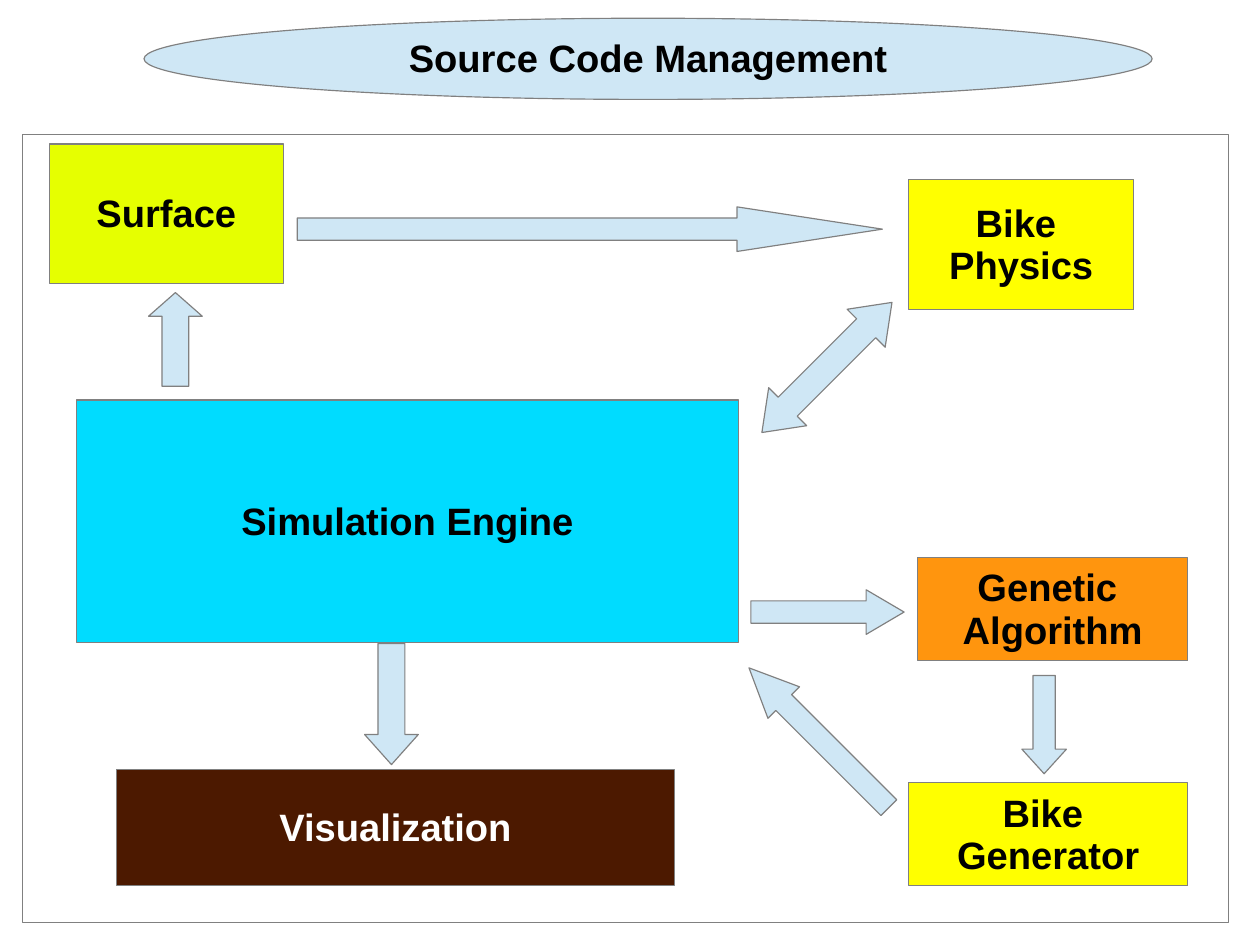
from pptx import Presentation
from pptx.dml.color import RGBColor
from pptx.enum.shapes import MSO_SHAPE as Shape
from pptx.enum.text import MSO_ANCHOR, PP_ALIGN
from pptx.util import Cm, Inches, Pt

PALE_BLUE = RGBColor(0xCF, 0xE7, 0xF5)
YELLOW = RGBColor(0xFF, 0xFF, 0x00)
LIME = RGBColor(0xE6, 0xFF, 0x00)
CYAN = RGBColor(0x00, 0xDC, 0xFF)
ORANGE = RGBColor(0xFF, 0x95, 0x0E)
BROWN = RGBColor(0x4C, 0x19, 0x00)
GREY = RGBColor(0x80, 0x80, 0x80)
BLACK = RGBColor(0x00, 0x00, 0x00)
WHITE = RGBColor(0xFF, 0xFF, 0xFF)

# Each box is (left, top, width, height) in inches
HEADING = ("Source Code Management", (1.26, 0.16, 8.82, 0.71))
FRAME = (0.2, 1.18, 10.55, 6.89)
MODULES = [
    ("Bike \nPhysics", (7.95, 1.57, 1.97, 1.14), YELLOW, BLACK),
    ("Bike \nGenerator", (7.95, 6.85, 2.44, 0.9), YELLOW, BLACK),
    ("Surface", (0.43, 1.26, 2.05, 1.22), LIME, BLACK),
    ("Simulation Engine", (0.67, 3.5, 5.79, 2.12), CYAN, BLACK),
    ("Genetic \nAlgorithm", (8.03, 4.88, 2.36, 0.9), ORANGE, BLACK),
    ("Visualization", (1.02, 6.73, 4.88, 1.02), BROWN, WHITE),
]
# Arrow kind, box, head length relative to thickness, rotation
FLOWS = [
    (Shape.DOWN_ARROW, (3.19, 5.63, 0.47, 1.06), 0.56, 0),
    (Shape.LEFT_RIGHT_ARROW, (6.43, 2.98, 1.61, 0.47), 0.68, 315),
    (Shape.UP_ARROW, (1.3, 2.56, 0.47, 0.82), 0.44, 0),
    (Shape.DOWN_ARROW, (8.94, 5.91, 0.39, 0.86), 0.55, 0),
    (Shape.RIGHT_ARROW, (6.57, 5.16, 1.34, 0.39), 0.85, 0),
    (Shape.UP_ARROW, (6.97, 5.59, 0.39, 1.73), 1.1, 315),
    (Shape.RIGHT_ARROW, (2.6, 1.81, 5.12, 0.39), 3.26, 0),
]


def add_outlined(slide, kind, box, fill=None):
    """Add a shape with the thin grey outline; without a fill it is see-through."""
    outlined = slide.shapes.add_shape(kind, *map(Inches, box))
    outlined.shadow.inherit = False
    outlined.line.color.rgb = GREY
    outlined.line.width = Pt(0.75)
    if fill is None:
        outlined.fill.background()
    else:
        outlined.fill.solid()
        outlined.fill.fore_color.rgb = fill
    return outlined


def write_label(holder, label, color):
    frame = holder.text_frame
    frame.text = label
    frame.word_wrap = False
    frame.vertical_anchor = MSO_ANCHOR.MIDDLE
    frame.margin_left = frame.margin_right = Inches(0.1)
    frame.margin_top, frame.margin_bottom = Inches(0.07), Inches(0.05)
    for paragraph in frame.paragraphs:
        paragraph.alignment = PP_ALIGN.CENTER
        paragraph.line_spacing = 0.93
        paragraph.font.name = "Arial"
        paragraph.font.size = Pt(24)
        paragraph.font.bold = True
        paragraph.font.color.rgb = color


def main():
    deck = Presentation()
    deck.slide_width = Cm(28)
    deck.slide_height = Cm(21)
    slide = deck.slides.add_slide(deck.slide_layouts[6])

    heading, heading_box = HEADING
    write_label(add_outlined(slide, Shape.OVAL, heading_box, PALE_BLUE), heading, BLACK)
    for label, box, fill, text_color in MODULES:
        module = add_outlined(slide, Shape.FLOWCHART_PROCESS, box, fill)
        write_label(module, label, text_color)
    for kind, box, head, rotation in FLOWS:
        arrow = add_outlined(slide, kind, box, PALE_BLUE)
        arrow.adjustments[0] = 0.5
        arrow.adjustments[1] = head
        arrow.rotation = rotation
    add_outlined(slide, Shape.RECTANGLE, FRAME)

    deck.save("out.pptx")


if __name__ == "__main__":
    main()
